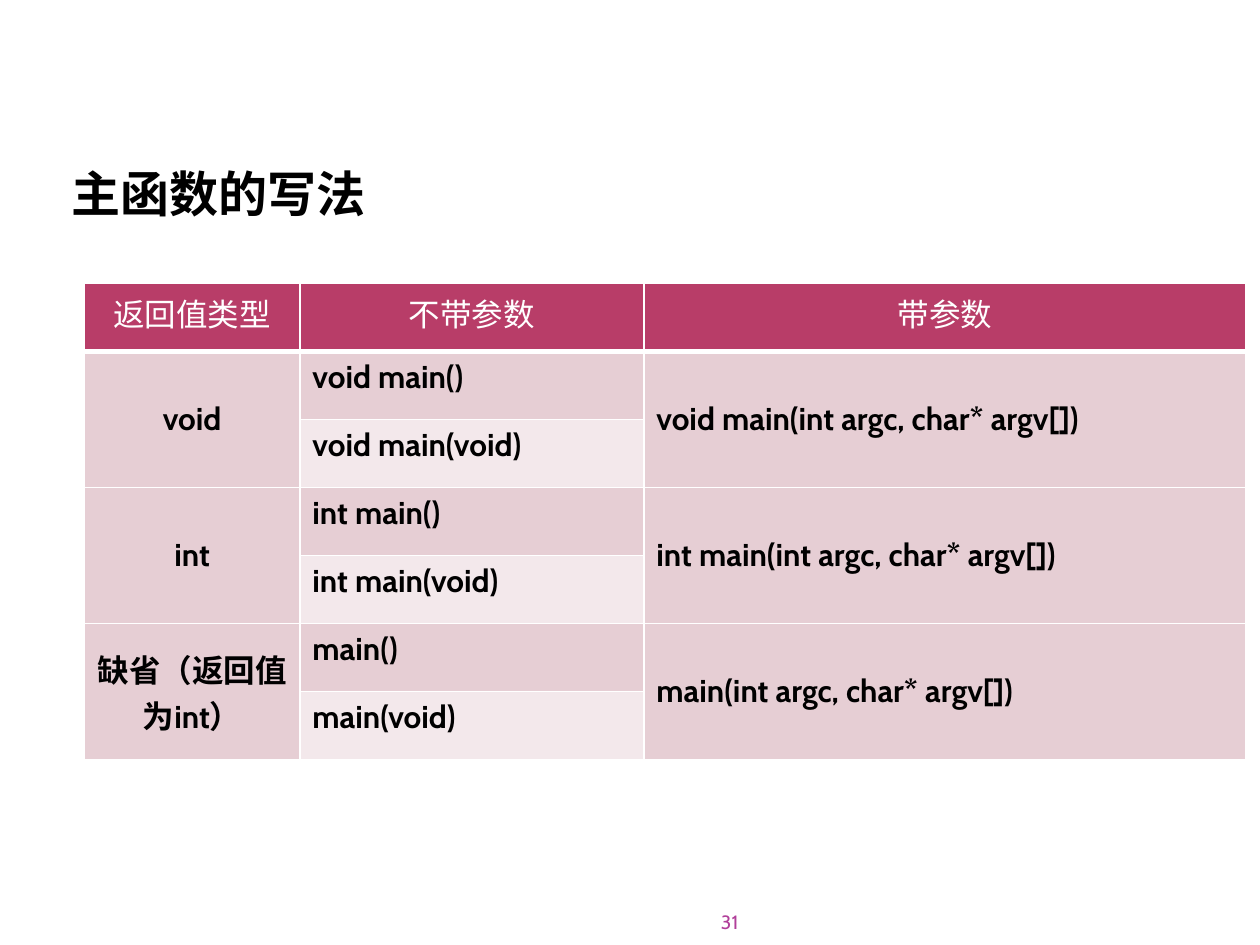
from lxml.etree import SubElement
from pptx import Presentation
from pptx.dml.color import RGBColor
from pptx.enum.text import MSO_ANCHOR, PP_ALIGN
from pptx.oxml.ns import qn
from pptx.util import Inches, Pt


def write(tf, text, align, size, name, color, bold):
    p = tf.paragraphs[0]
    p.alignment = align
    r = p.add_run()
    r.text = text
    for key, value in {"size": Pt(size), "name": name, "bold": bold}.items():
        setattr(r.font, key, value)
    r.font.color.rgb = RGBColor.from_string(color)


def add_border(cell, side, color, width):
    ln = SubElement(cell._tc.get_or_add_tcPr(), qn(f"a:ln{side}"), w=str(Pt(width)))
    fill = SubElement(ln, qn("a:solidFill"))
    SubElement(fill, qn("a:srgbClr"), val=color)


prs = Presentation()
prs.slide_width, prs.slide_height = Inches(10), Inches(7.5)
s = prs.slides.add_slide(prs.slide_layouts[5])

title = s.shapes.title
title.left, title.top = Inches(0.47), Inches(1.26)
title.width, title.height = Inches(8.92), Inches(0.54)
title.text_frame.vertical_anchor = MSO_ANCHOR.MIDDLE
write(title.text_frame, "主函数的写法", PP_ALIGN.LEFT, 28, "Arial", "000000", True)

number = s.shapes.add_textbox(Inches(4.05), Inches(7.09), Inches(1.81), Inches(0.32))
tf = number.text_frame
for key, value in {"margin_left": 0, "margin_right": 0, "margin_top": 0, "margin_bottom": 0,
                   "word_wrap": True, "vertical_anchor": MSO_ANCHOR.BOTTOM}.items():
    setattr(tf, key, value)
write(tf, "31", PP_ALIGN.RIGHT, 11, "Cabin", "B13F9A", False)

rows = [
    ("返回值类型", "不带参数", "带参数"),
    ("void", "void main()", "void main(int argc, char* argv[])"),
    ("", "void main(void)", ""),
    ("int", "int main()", "int main(int argc, char* argv[])"),
    ("", "int main(void)", ""),
    ("缺省（返回值为int）", "main()", "main(int argc, char* argv[])"),
    ("", "main(void)", ""),
]
widths = [1.71, 2.73, 4.78]
row_height = 0.54
table = s.shapes.add_table(len(rows), len(widths), Inches(0.67), Inches(2.25),
                           Inches(sum(widths)), Inches(row_height * len(rows))).table
for column, width in zip(table.columns, widths):
    column.width = Inches(width)
for row in table.rows:
    row.height = Inches(row_height)
for top in range(1, len(rows), 2):
    for col in (0, 2):
        table.cell(top, col).merge(table.cell(top + 1, col))

for i, texts in enumerate(rows):
    header = i == 0
    for j, text in enumerate(texts):
        cell = table.cell(i, j)
        for side in "LRTB":
            add_border(cell, side, "FFFFFF", 3 if header and side == "B" else 1)
        cell.fill.solid()
        fill = "B83D68" if header else "E6CED4" if i % 2 else "F3E8EB"
        cell.fill.fore_color.rgb = RGBColor.from_string(fill)
        if cell.is_merge_origin:
            cell.vertical_anchor = MSO_ANCHOR.MIDDLE
        if text:
            align = PP_ALIGN.CENTER if header or j == 0 else PP_ALIGN.LEFT
            write(cell.text_frame, text, align, 18, "Cabin",
                  "FFFFFF" if header else "000000", not header)

prs.save("out.pptx")
